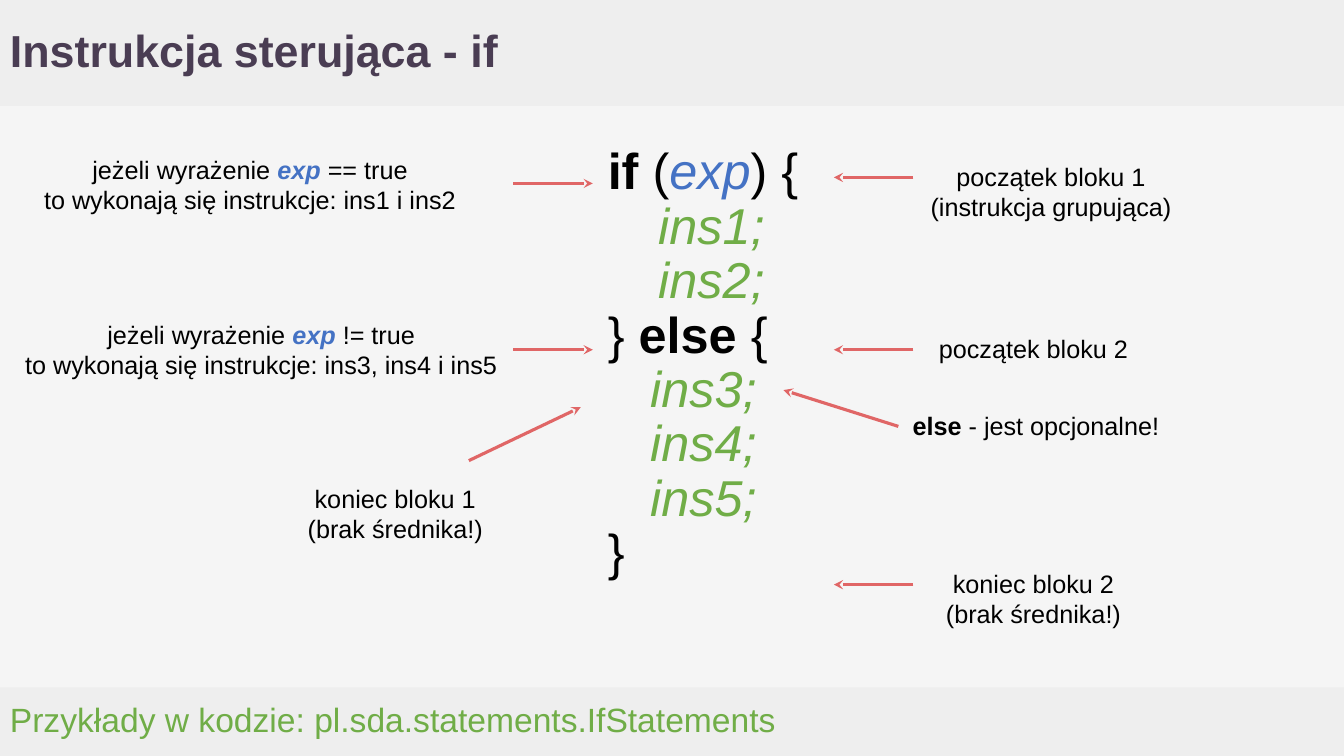
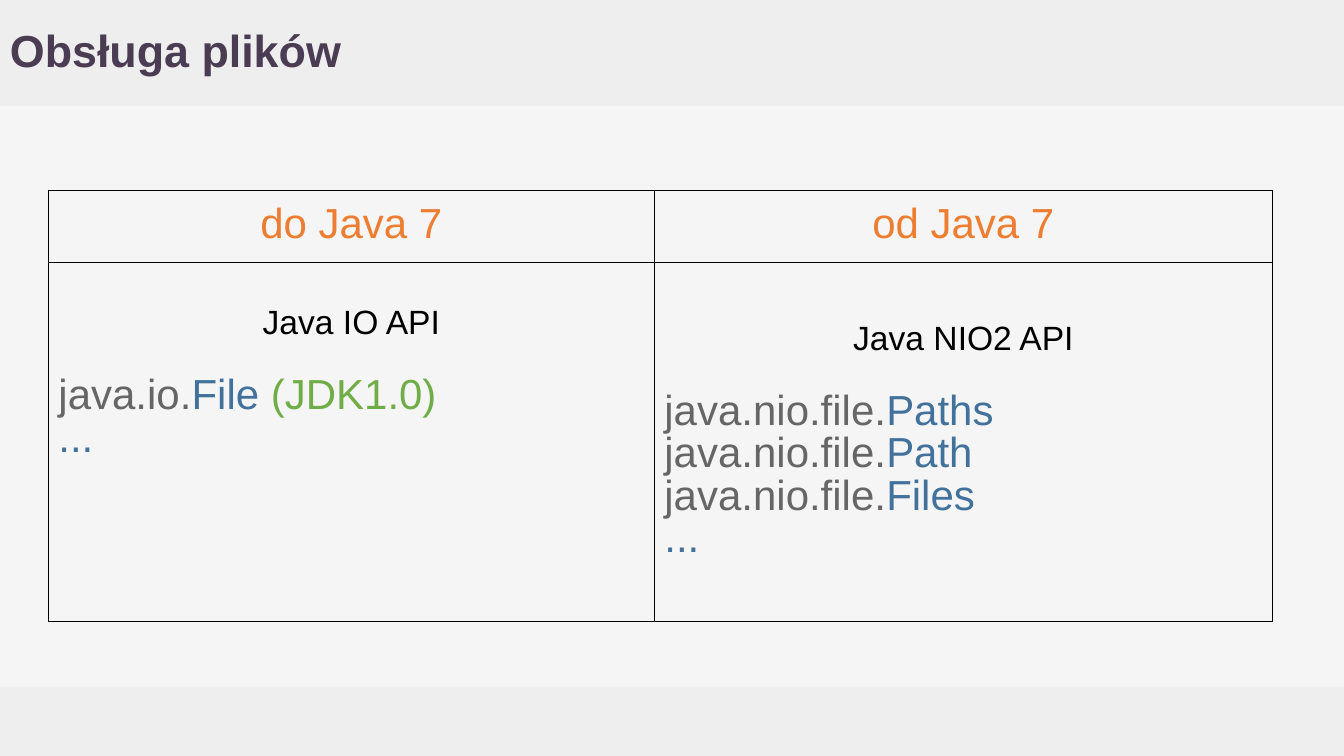
"""Build two slides of a Java course: the if statement and file handling."""
from dataclasses import dataclass
from typing import Any, NamedTuple

from lxml.etree import SubElement
from pptx import Presentation
from pptx.dml.color import RGBColor
from pptx.enum.shapes import MSO_CONNECTOR as Connector, MSO_SHAPE as Preset
from pptx.enum.text import MSO_ANCHOR as Anchor, PP_ALIGN as Align
from pptx.oxml.ns import qn
from pptx.slide import Slide
from pptx.table import _Cell as Cell
from pptx.text.text import TextFrame
from pptx.util import Inches, Pt

PAGE_WIDTH, PAGE_HEIGHT = 13.33, 7.5
HEADER_HEIGHT, FOOTER_HEIGHT = 1.05, 0.68
MARGIN = 0.1
FONT = "Arial"

PAPER = RGBColor(0xF5, 0xF5, 0xF5)
BAND = RGBColor(0xEE, 0xEE, 0xEE)
PLUM = RGBColor(0x4A, 0x3D, 0x53)
BLACK = RGBColor(0, 0, 0)
BLUE = RGBColor(0x44, 0x72, 0xC4)
STEEL = RGBColor(0x42, 0x71, 0x9B)
GREEN = RGBColor(0x70, 0xAD, 0x47)
ORANGE = RGBColor(0xED, 0x7D, 0x31)
GREY = RGBColor(0x66, 0x66, 0x66)
RED = RGBColor(0xE0, 0x66, 0x66)


class Box(NamedTuple):
    left: float
    top: float
    width: float
    height: float


class Span(NamedTuple):
    text: str
    color: RGBColor = BLACK
    bold: bool = False
    italic: bool = False


@dataclass(frozen=True)
class Line:
    spans: tuple[Span, ...]
    size: int = 18
    align: Align = Align.LEFT
    spacing: float = 1.0
    before: float = 0
    indent: float = 0


@dataclass(frozen=True)
class Note:
    box: Box
    lines: tuple[tuple[Span, ...], ...]
    arrow: tuple[float, float, float, float]


def assign(target: Any, values: dict[str, Any]) -> None:
    for name, value in values.items():
        setattr(target, name, value)


def write(frame: TextFrame, lines: list[Line]) -> None:
    for index, line in enumerate(lines):
        para = frame.paragraphs[0] if index == 0 else frame.add_paragraph()
        assign(para, {"alignment": line.align, "line_spacing": line.spacing,
                      "space_before": Pt(line.before)})
        if line.indent:
            para._p.get_or_add_pPr().set("indent", str(Inches(line.indent)))
        for span in line.spans:
            run = para.add_run()
            run.text = span.text
            assign(run.font, {"name": FONT, "size": Pt(line.size),
                              "bold": span.bold, "italic": span.italic})
            run.font.color.rgb = span.color


def add_text(page: Slide, box: Box, lines: list[Line], anchor: Anchor = Anchor.TOP) -> None:
    frame = page.shapes.add_textbox(*map(Inches, box)).text_frame
    assign(frame, {"word_wrap": True, "vertical_anchor": anchor,
                   **{f"margin_{side}": Inches(MARGIN)
                      for side in ("left", "top", "right", "bottom")}})
    write(frame, lines)


def add_band(page: Slide, top: float, height: float) -> None:
    band = page.shapes.add_shape(Preset.RECTANGLE, *map(Inches, (0, top, PAGE_WIDTH, height)))
    band.shadow.inherit = False
    band.fill.solid()
    band.fill.fore_color.rgb = BAND
    band.line.fill.background()


def add_page(deck: Any, title: str) -> Slide:
    page = deck.slides.add_slide(deck.slide_layouts[6])
    page.background.fill.solid()
    page.background.fill.fore_color.rgb = PAPER
    add_band(page, PAGE_HEIGHT - FOOTER_HEIGHT, FOOTER_HEIGHT)
    add_band(page, 0, HEADER_HEIGHT)
    add_text(page, Box(0, 0, 11.92, HEADER_HEIGHT),
             [Line((Span(title, PLUM, bold=True),), size=32, spacing=0.9)], Anchor.MIDDLE)
    return page


def add_arrow(page: Slide, ends: tuple[float, float, float, float]) -> None:
    arrow = page.shapes.add_connector(Connector.STRAIGHT, *map(Inches, ends))
    arrow.line.color.rgb = RED
    arrow.line.width = Pt(2.25)
    properties = arrow._element.spPr
    SubElement(properties.find(qn("a:ln")), qn("a:tailEnd"), type="stealth")
    SubElement(properties, qn("a:effectLst"))


def add_note(page: Slide, note: Note) -> None:
    add_text(page, note.box, [Line(spans, align=Align.CENTER) for spans in note.lines])
    add_arrow(page, note.arrow)


def condition(operator: str, result: str) -> tuple[tuple[Span, ...], ...]:
    return ((Span("jeżeli wyrażenie "), Span("exp ", BLUE, True, True), Span(f"{operator} true")),
            (Span(f"to wykonają się instrukcje: {result}"),))


def plain(*texts: str) -> tuple[tuple[Span, ...], ...]:
    return tuple((Span(text),) for text in texts)


def code_line(*spans: Span, indent: float = 0) -> Line:
    return Line(spans, size=36, spacing=0.9, indent=indent)


def build_if_page(deck: Any) -> None:
    page = add_page(deck, "Instrukcja sterująca - if")
    first, second = ([code_line(Span(f"ins{number};", GREEN, italic=True), indent=indent)
                      for number in numbers]
                     for numbers, indent in (((1, 2), 0.5), ((3, 4, 5), 0.42)))
    add_text(page, Box(5.93, 1.35, 2.64, 4.95), [
        code_line(Span("if ", bold=True), Span("("), Span("exp", BLUE, italic=True), Span(") {")),
        *first,
        code_line(Span("} "), Span("else ", bold=True), Span("{")),
        *second,
        code_line(Span("}")),
    ])
    notes = (
        Note(Box(0.3, 1.43, 4.36, 0.87), condition("==", "ins1 i ins2"),
             (5.09, 1.82, 5.88, 1.82)),
        Note(Box(0.08, 3.07, 5.02, 0.8), condition("!=", "ins3, ins4 i ins5"),
             (5.09, 3.47, 5.88, 3.47)),
        Note(Box(9.06, 1.5, 2.73, 0.52), plain("początek bloku 1", "(instrukcja grupująca)"),
             (9.06, 1.76, 8.27, 1.76)),
        Note(Box(2.73, 4.69, 2.38, 0.8), plain("koniec bloku 1", "(brak średnika!)"),
             (4.65, 4.57, 5.76, 4.04)),
        Note(Box(8.91, 3.97, 2.73, 0.52),
             ((Span("else ", bold=True), Span("- jest opcjonalne!")),),
             (8.91, 4.23, 7.77, 3.87)),
        Note(Box(9.06, 3.21, 2.38, 0.52), plain("początek bloku 2"),
             (9.06, 3.47, 8.27, 3.47)),
        Note(Box(9.06, 5.54, 2.38, 0.87), plain("koniec bloku 2", "(brak średnika!)"),
             (9.06, 5.8, 8.27, 5.8)),
    )
    for note in notes:
        add_note(page, note)
    add_text(page, Box(0, 6.83, PAGE_WIDTH, 0.63), [
        Line((Span("Przykłady w kodzie: pl.sda.statements.IfStatements", GREEN),), size=24)])


def style_cell(cell: Cell, anchor: Anchor, top: float) -> None:
    properties = cell._tc.get_or_add_tcPr()
    for side in "LRTB":
        border = SubElement(properties, qn(f"a:ln{side}"), w=str(Pt(0.75)))
        SubElement(SubElement(border, qn("a:solidFill")), qn("a:srgbClr"), val=str(BLACK))
    cell.fill.background()
    assign(cell, {"margin_left": Inches(MARGIN), "margin_right": Inches(MARGIN),
                  "margin_top": Inches(top), "margin_bottom": Inches(MARGIN),
                  "vertical_anchor": anchor})


def heading(text: str) -> list[Line]:
    return [Line((Span(text, ORANGE),), size=30, align=Align.CENTER)]


def class_list(title: str, prefix: str, names: tuple[str, ...], version: str = "") -> list[Line]:
    entries = [(Span(prefix, GREY), Span(name, STEEL)) for name in names]
    if version:
        entries[0] += (Span(version, GREEN),)
    entries.append((Span("...", STEEL),))
    return [Line((Span(title),), size=24, align=Align.CENTER, spacing=0.9)] + [
        Line(spans, size=30, spacing=0.9, before=0 if index else 25)
        for index, spans in enumerate(entries)]


def build_files_page(deck: Any) -> None:
    page = add_page(deck, "Obsługa plików")
    table = page.shapes.add_table(2, 2, *map(Inches, (0.48, 1.89, 12.14, 4.28))).table
    assign(table, {"first_row": False, "horz_banding": False})
    for column, width in zip(table.columns, (6.01, 6.13)):
        column.width = Inches(width)
    for row, height in zip(table.rows, (0.71, 3.57)):
        row.height = Inches(height)
    contents = (
        (heading("do Java 7"), Anchor.TOP, MARGIN),
        (heading("od Java 7"), Anchor.TOP, MARGIN),
        (class_list("Java IO API", "java.io.", ("File",), " (JDK1.0)"), Anchor.TOP, 0.45),
        (class_list("Java NIO2 API", "java.nio.file.", ("Paths", "Path", "Files")),
         Anchor.MIDDLE, MARGIN),
    )
    for cell, (lines, anchor, top) in zip(table.iter_cells(), contents):
        style_cell(cell, anchor, top)
        write(cell.text_frame, lines)


def main() -> None:
    deck = Presentation()
    assign(deck, {"slide_width": Inches(PAGE_WIDTH), "slide_height": Inches(PAGE_HEIGHT)})
    build_if_page(deck)
    build_files_page(deck)
    deck.save("out.pptx")


if __name__ == "__main__":
    main()
